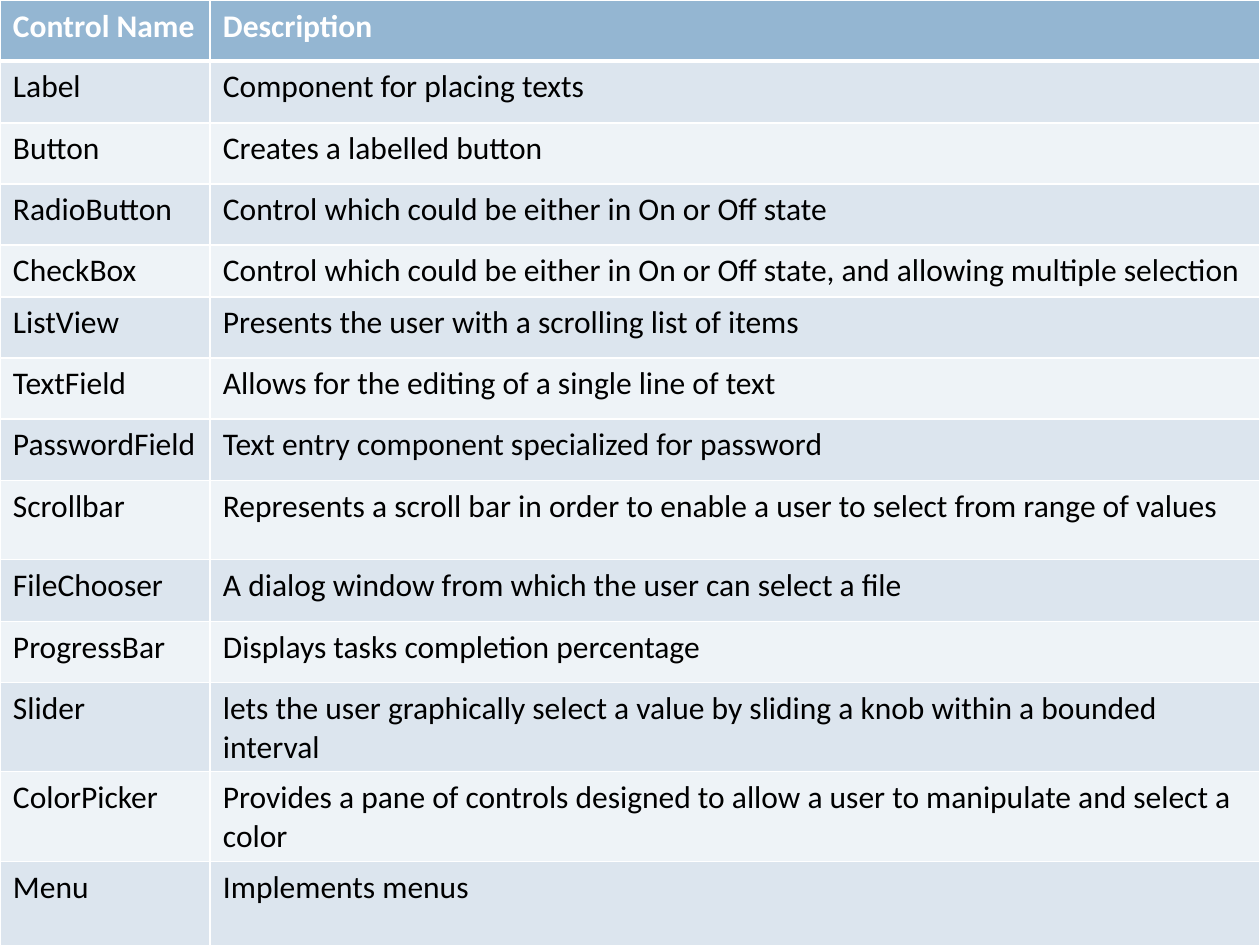
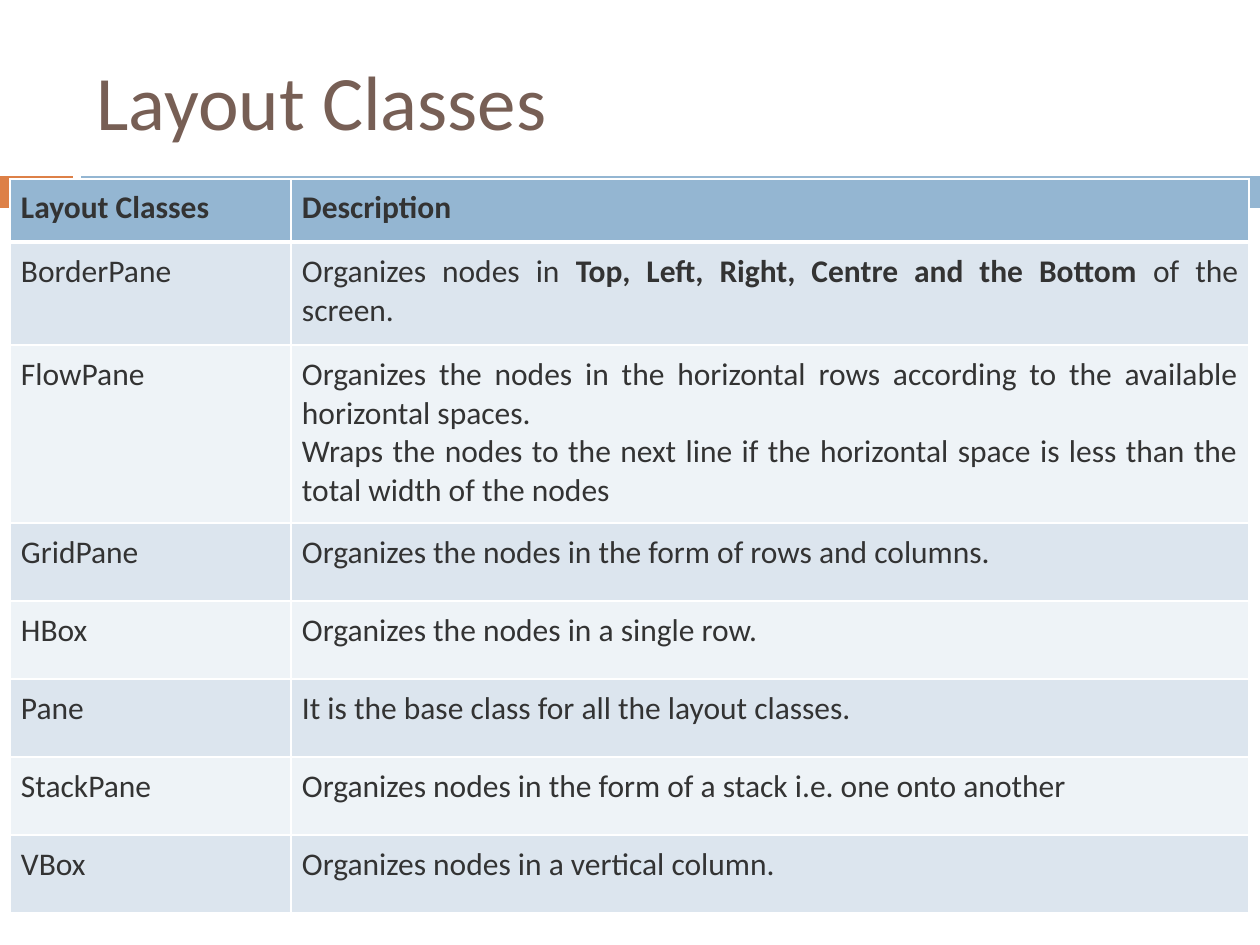
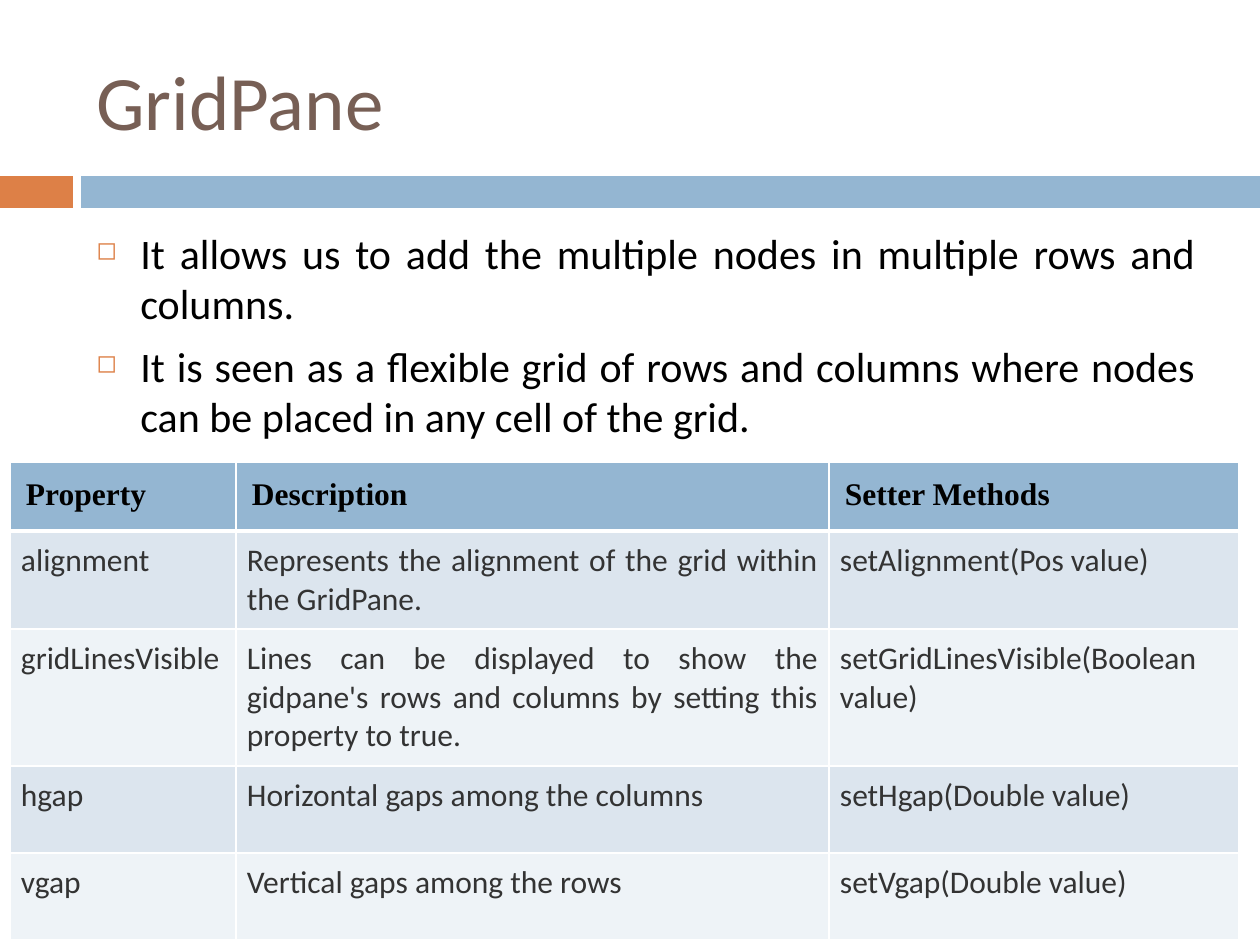
from dataclasses import dataclass

from lxml import etree
from pptx import Presentation
from pptx.dml.color import RGBColor
from pptx.enum.shapes import MSO_SHAPE
from pptx.enum.text import MSO_ANCHOR, PP_ALIGN
from pptx.oxml.ns import qn
from pptx.util import Emu, Pt

RECT = MSO_SHAPE.RECTANGLE
MIDDLE, TOP = MSO_ANCHOR.MIDDLE, MSO_ANCHOR.TOP
LEFT, JUSTIFY = PP_ALIGN.LEFT, PP_ALIGN.JUSTIFY
BLANK = 6


@dataclass(frozen=True)
class Theme:
    # Colours
    blue: str = "94B6D2"
    orange: str = "DD8047"
    brown: str = "775F55"
    dark: str = "333333"
    black: str = "000000"
    white: str = "FFFFFF"
    stripes: tuple = ("DCE5EE", "EEF3F7")
    # Fonts and sizes in points
    sans: str = "Calibri"
    serif: str = "Times New Roman"
    title: int = 44
    body: int = 24
    cell: int = 18
    rule: int = 1
    thick: int = 3


THEME = Theme()


@dataclass(frozen=True)
class Style:
    """Look of the text in a group of table cells; pad is side, top, bottom."""
    color: str
    bold: bool = False
    font: str = THEME.sans
    align: int = JUSTIFY
    pad: tuple = (11, 11, 10)


def px(n):
    return Emu(round(n * 914400 / 126))


def rgb(code):
    return RGBColor.from_string(code)


# Text

def add_run(para, text, size, color, bold=False, font=THEME.sans):
    run = para.add_run()
    run.text = text
    run.font.size = Pt(size)
    run.font.name = font
    run.font.bold = bold
    run.font.color.rgb = rgb(color)


def next_para(frame, index):
    return frame.add_paragraph() if index else frame.paragraphs[0]


def add_box(slide, x, y, w, h, anchor=TOP):
    frame = slide.shapes.add_textbox(px(x), px(y), px(w), px(h)).text_frame
    frame.word_wrap = True
    frame.vertical_anchor = anchor
    return frame


def add_bullet(para):
    props = para._p.get_or_add_pPr()
    props.set("marL", str(px(44)))
    props.set("indent", str(px(-44)))
    color = etree.SubElement(props, qn("a:buClr"))
    etree.SubElement(color, qn("a:srgbClr"), val=THEME.orange)
    etree.SubElement(props, qn("a:buSzPct"), val="60000")
    etree.SubElement(props, qn("a:buChar"), char="\u25fb")


def add_list(slide, items):
    frame = add_box(slide, 84, 221, 1124, 620)
    for i, item in enumerate(items):
        para = next_para(frame, i)
        para.alignment = JUSTIFY
        para.space_before = Pt(7)
        add_bullet(para)
        add_run(para, item, THEME.body, THEME.black)


def add_title(slide, text):
    frame = add_box(slide, 84, 32, 1124, 136, MIDDLE)
    add_run(frame.paragraphs[0], text, THEME.title, THEME.brown)


# Two-part band, kept in the layout that all slides share

def add_bands(slide):
    tree = slide.slide_layout.shapes._spTree
    parts = ((0, 73, THEME.orange), (81, 1179, THEME.blue))
    for i, (x, w, color) in enumerate(parts):
        band = slide.shapes.add_shape(RECT, px(x), px(176), px(w), px(32))
        band.shadow.inherit = False
        band.fill.solid()
        band.fill.fore_color.rgb = rgb(color)
        band.line.fill.background()
        band._element.nvSpPr.cNvPr.set("id", str(20 + i))
        tree.append(band._element)


# Tables

def add_edges(cell, top, bottom):
    props = cell._tc.get_or_add_tcPr()
    widths = {"L": THEME.rule, "R": THEME.rule, "T": top, "B": bottom}
    for side, width in widths.items():
        line = etree.SubElement(props, qn("a:ln" + side), w=str(Pt(width)))
        fill = etree.SubElement(line, qn("a:solidFill"))
        etree.SubElement(fill, qn("a:srgbClr"), val=THEME.white)


def fill_cell(cell, content, style, color):
    """Content is a string, or a list of paragraphs of (text, bold) runs."""
    cell.fill.solid()
    cell.fill.fore_color.rgb = rgb(color)
    side, top, bottom = style.pad
    cell.margin_left = cell.margin_right = px(side)
    cell.margin_top, cell.margin_bottom = px(top), px(bottom)
    paras = [[(content, style.bold)]] if isinstance(content, str) else content
    for i, runs in enumerate(paras):
        para = next_para(cell.text_frame, i)
        para.alignment = style.align
        for text, bold in runs:
            add_run(para, text, THEME.cell, style.color, bold, style.font)


def add_table(slide, x, y, cols, heights, rows, head, body):
    table = slide.shapes.add_table(len(rows), len(cols), px(x), px(y),
                                   px(sum(cols)), px(sum(heights))).table
    for col, width in zip(table.columns, cols):
        col.width = px(width)
    for r, (row, height) in enumerate(zip(rows, heights)):
        table.rows[r].height = px(height)
        color = THEME.stripes[(r - 1) % 2] if r else THEME.blue
        top = THEME.thick if r == 1 else THEME.rule
        bottom = THEME.rule if r else THEME.thick
        for c, content in enumerate(row):
            cell = table.cell(r, c)
            add_edges(cell, top, bottom)
            fill_cell(cell, content, body if r else head, color)


# Slides

def controls(slide):
    rows = [
        ("Control Name", "Description"),
        ("Label", "Component for placing texts"),
        ("Button", "Creates a labelled button"),
        ("RadioButton", "Control which could be either in On or Off state"),
        ("CheckBox", "Control which could be either in On or Off state, "
                     "and allowing multiple selection"),
        ("ListView", "Presents the user with a scrolling list of items"),
        ("TextField", "Allows for the editing of a single line of text"),
        ("PasswordField", "Text entry component specialized for password"),
        ("Scrollbar", "Represents a scroll bar in order to enable a user "
                      "to select from range of values"),
        ("FileChooser",
         "A dialog window from which the user can select a file"),
        ("ProgressBar", "Displays tasks completion percentage"),
        ("Slider", "lets the user graphically select a value by sliding "
                   "a knob within a bounded interval"),
        ("ColorPicker", "Provides a pane of controls designed to allow "
                        "a user to manipulate and select a color"),
        ("Menu", "Implements menus"),
    ]
    heights = (61, 62, 61, 61, 52, 61, 61, 62, 79, 62, 61, 89, 90, 85)
    pad = (13, 7, 5)
    add_table(slide, 0, 0, (210, 1050), heights, rows,
              Style(THEME.white, True, align=LEFT, pad=pad),
              Style(THEME.black, align=LEFT, pad=pad))


def layouts(slide):
    add_title(slide, "Layout Classes")
    border = [[("Organizes nodes in ", False),
               ("Top, Left, Right, Centre and the Bottom ", True),
               ("of the screen.", False)]]
    flow = [[("Organizes the nodes in the horizontal rows according to "
              "the available horizontal spaces.", False)],
            [("Wraps the nodes to the next line if the horizontal space "
              "is less than the total width of the nodes", False)]]
    rows = [
        ("Layout Classes", "Description"),
        ("BorderPane", border),
        ("FlowPane", flow),
        ("GridPane", "Organizes the nodes in the form of rows and columns."),
        ("HBox", "Organizes the nodes in a single row."),
        ("Pane", "It is the base class for all the layout classes."),
        ("StackPane",
         "Organizes nodes in the form of a stack i.e. one onto another"),
        ("VBox", "Organizes nodes in a vertical column."),
    ]
    add_table(slide, 10, 179, (281, 958), [63, 103, 178] + [78] * 5, rows,
              Style(THEME.dark, True, pad=(11, 10, 10)), Style(THEME.dark))


def grid(slide):
    add_title(slide, "GridPane")
    add_list(slide, [
        "It allows us to add the multiple nodes in multiple rows and "
        "columns.",
        "It is seen as a flexible grid of rows and columns where nodes can "
        "be placed in any cell of the grid.",
    ])
    rows = [
        ("Property", "Description", "Setter Methods"),
        ("alignment",
         "Represents the alignment of the grid within the GridPane.",
         "setAlignment(Pos value)"),
        ("gridLinesVisible",
         "Lines can be displayed to show the gidpane's rows and columns "
         "by setting this property to true.",
         "setGridLinesVisible(Boolean value)"),
        ("hgap", "Horizontal gaps among the columns",
         "setHgap(Double value)"),
        ("vgap", "Vertical gaps among the rows", "setVgap(Double value)"),
    ]
    add_table(slide, 10, 462, (226, 593, 410), (69, 98, 137, 87, 87), rows,
              Style(THEME.black, True, THEME.serif, pad=(16, 15, 15)),
              Style(THEME.dark))


def main():
    deck = Presentation()
    deck.slide_width, deck.slide_height = px(1260), px(945)
    layout = deck.slide_layouts[BLANK]
    slides = [deck.slides.add_slide(layout) for _ in range(3)]
    add_bands(slides[0])
    for build, slide in zip((controls, layouts, grid), slides):
        build(slide)
    deck.save("out.pptx")


main()
